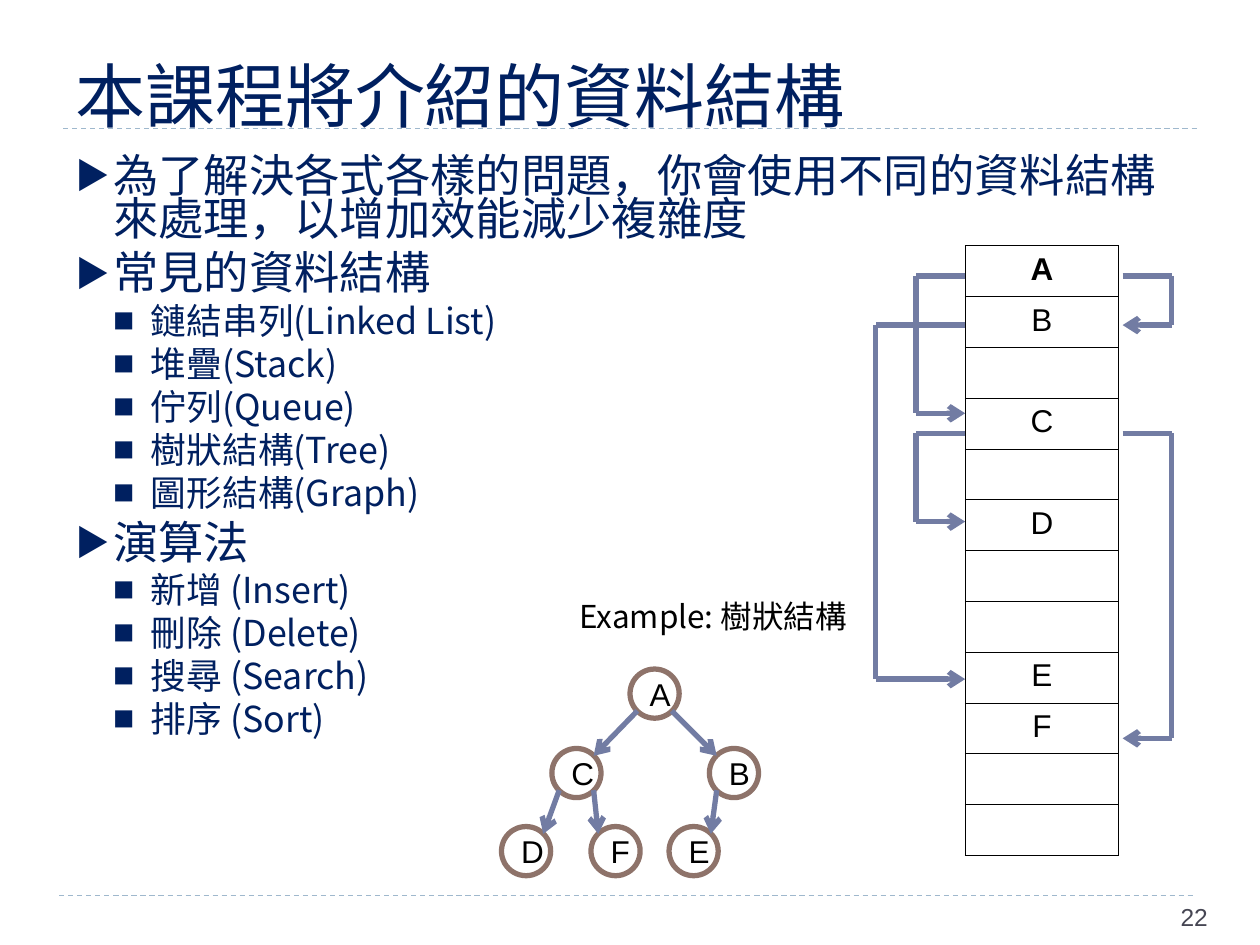
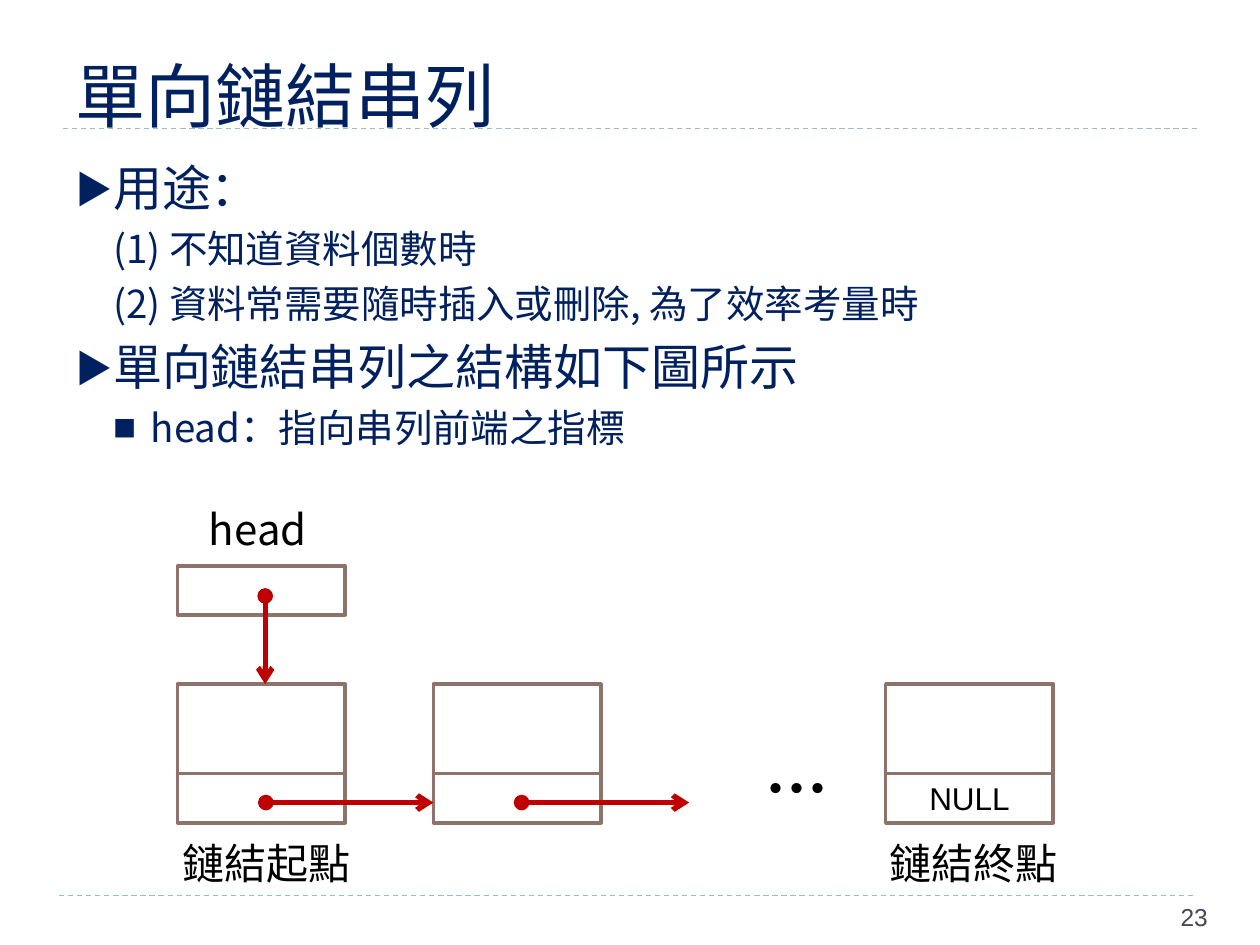
from pptx import Presentation
from pptx import util as u
from pptx.dml.color import RGBColor
from pptx.enum import dml, shapes, text
from pptx.oxml.ns import qn
from lxml import etree

# Grid: 100 columns by 75 rows on a 10 x 7.5 inch slide
COLUMNS, ROWS = 100, 75
WIDTH, HEIGHT = u.Inches(10), u.Inches(7.5)
NAVY, SKY, SLATE, BROWN = "002060", "9FB8CD", "727CA3", "8E736A"
RED, GRAY, BLACK, WHITE = "C00000", "464653", "000000", "FFFFFF"
ARIAL, SANS_JP, SANS_SC = "Arial", "Noto Sans CJK JP", "Noto Sans CJK SC"

# Outline styles: indent of the text, space before, bullet and its size
HANG = 0.3
TOPIC = dict(indent=0.3, before=6, bullet="▶", share=76)
ITEM = dict(indent=0.6, before=5, bullet="■", share=60)
PLAIN = dict(indent=0.6, before=5, bullet=None, share=100)


def color(value):
    return RGBColor.from_string(value)


def apply(target, values):
    for name, value in values.items():
        setattr(target, name, value)


def add_xml(parent, tag, **attributes):
    return etree.SubElement(parent, qn(tag), attributes)


class Deck:
    def __init__(self):
        self.show = Presentation()
        apply(self.show, dict(slide_width=WIDTH, slide_height=HEIGHT))
        self.slide = None

    def x(self, column):
        return round(WIDTH * column / COLUMNS)

    def y(self, row):
        return round(HEIGHT * row / ROWS)

    def box(self, left, top, width, height):
        return self.x(left), self.y(top), self.x(width), self.y(height)

    def new_slide(self, title, number, font):
        """Slide with its title, the two dashed rules and the page number."""
        self.slide = self.show.slides.add_slide(self.show.slide_layouts[6])
        for left, row in ((4.7, 71.1), (5, 10.2)):
            self.line((left, row), (left + 90, row), SKY, 0.75, dash=True)
        self.label(title, (5, 3.9, 90, 6.9), 40, font, NAVY, wrap=True,
                   frame=dict(vertical_anchor=text.MSO_ANCHOR.BOTTOM,
                              margin_top=0, margin_bottom=0))
        self.label(str(number), (92.2, 71.1, 7, 4), 14, ARIAL, GRAY, wrap=True,
                   frame=dict(margin_left=u.Inches(0.15)))

    def add_words(self, paragraph, words, size, font, ink=BLACK, bold=False):
        run = paragraph.add_run()
        run.text = words
        apply(run.font, dict(size=u.Pt(size), name=font, bold=bold))
        run.font.color.rgb = color(ink)
        east = SANS_JP if font == ARIAL else font
        add_xml(run.font._element, "a:ea", typeface=east)

    def label(self, words, place, size, font, ink=BLACK, bold=False,
              wrap=False, frame=None):
        body = self.slide.shapes.add_textbox(*self.box(*place)).text_frame
        apply(body, dict(word_wrap=wrap, **(frame or {})))
        self.add_words(body.paragraphs[0], words, size, font, ink, bold)

    def outline(self, entries, topic_size, item_size, spacing):
        """Body text; each entry is a style followed by (words, font) runs."""
        body = self.slide.shapes.add_textbox(*self.box(5, 12.5, 90, 54.8)).text_frame
        apply(body, dict(word_wrap=True, margin_top=0, margin_bottom=0))
        for index, (style, *runs) in enumerate(entries):
            paragraph = body.add_paragraph() if index else body.paragraphs[0]
            before = style["before"] if index else 0
            apply(paragraph, dict(line_spacing=spacing, space_before=u.Pt(before),
                                  level=0 if style is TOPIC else 1))
            self.bullet(paragraph, style)
            size = topic_size if style is TOPIC else item_size
            for words, font in runs:
                self.add_words(paragraph, words, size, font, NAVY)

    def bullet(self, paragraph, style):
        props = paragraph._p.get_or_add_pPr()
        props.set("marL", str(u.Inches(style["indent"])))
        props.set("indent", str(-u.Inches(HANG)))
        if style["bullet"] is None:
            add_xml(props, "a:buNone")
            return
        add_xml(add_xml(props, "a:buClr"), "a:srgbClr", val=NAVY)
        add_xml(props, "a:buSzPct", val=str(style["share"] * 1000))
        add_xml(props, "a:buFont", typeface=SANS_SC)
        add_xml(props, "a:buChar", char=style["bullet"])

    def line(self, start, end, ink, weight=3, dash=False, head=None, tail=None):
        link = self.slide.shapes.add_connector(
            shapes.MSO_CONNECTOR.STRAIGHT, self.x(start[0]), self.y(start[1]),
            self.x(end[0]), self.y(end[1]))
        link.line.width = u.Pt(weight)
        link.line.color.rgb = color(ink)
        if dash:
            link.line.dash_style = dml.MSO_LINE.DASH
        for tag, kind in (("a:headEnd", head), ("a:tailEnd", tail)):
            if kind:
                add_xml(link.line._get_or_add_ln(), tag, type=kind)
        add_xml(link._element.spPr, "a:effectLst")

    def route(self, points, ink):
        """Chain of straight lines that ends in an arrow."""
        last = len(points) - 2
        for index, (start, end) in enumerate(zip(points, points[1:])):
            self.line(start, end, ink, tail="arrow" if index == last else None)

    def node(self, kind, place, weight, words=""):
        shape = self.slide.shapes.add_shape(kind, *self.box(*place))
        shape.shadow.inherit = False
        shape.fill.solid()
        shape.fill.fore_color.rgb = color(WHITE)
        shape.line.color.rgb = color(BROWN)
        shape.line.width = u.Pt(weight)
        if words:
            body = shape.text_frame
            apply(body, dict(word_wrap=True, vertical_anchor=text.MSO_ANCHOR.MIDDLE))
            body.paragraphs[0].alignment = text.PP_ALIGN.CENTER
            self.add_words(body.paragraphs[0], words, 18, ARIAL)

    def column(self, values, place):
        """One-column table with thin black borders."""
        table = self.slide.shapes.add_table(len(values), 1, *self.box(*place)).table
        apply(table, dict(first_row=False, horz_banding=False))
        for index, value in enumerate(values):
            cell = table.cell(index, 0)
            props = cell._tc.get_or_add_tcPr()
            for side in ("a:lnL", "a:lnR", "a:lnT", "a:lnB"):
                border = add_xml(props, side, w=str(u.Pt(0.45)))
                add_xml(add_xml(border, "a:solidFill"), "a:srgbClr", val=BLACK)
            cell.fill.solid()
            cell.fill.fore_color.rgb = color(WHITE)
            paragraph = cell.text_frame.paragraphs[0]
            paragraph.alignment = text.PP_ALIGN.CENTER
            if value:
                self.add_words(paragraph, value, 18, ARIAL, bold=index == 0)


def structures_slide(deck):
    deck.new_slide("本課程將介紹的資料結構", 22, ARIAL)
    outline = [
        (TOPIC, ["為了解決各式各樣的問題，你會使用不同的資料結構來處理，以增加效能減少複雜度"]),
        (TOPIC, ["常見的資料結構"]),
        (ITEM, ["鏈結串列(Linked List)", "堆疊(Stack)", "佇列(Queue)",
                "樹狀結構(Tree)", "圖形結構(Graph)"]),
        (TOPIC, ["演算法"]),
        (ITEM, ["新增 (Insert)", "刪除 (Delete)", "搜尋 (Search)", "排序 (Sort)"]),
    ]
    deck.outline([(style, (words, SANS_SC)) for style, group in outline
                  for words in group], 25.9, 20.4, 0.8)

    # Memory cells and the pointers between them
    deck.column(["A", "B", "", "C", "", "D", "", "", "E", "F", "", ""],
                (76.6, 19.5, 12.2, 48.4))
    left_edge, right_edge = 76.6, 89.1
    pointers = [
        (left_edge, 72.7, 21.9, 32.8), (left_edge, 72.7, 34.4, 41.4),
        (right_edge, 93, 21.9, 25.8), (right_edge, 93, 34.4, 58.6),
        (left_edge, 69.5, 25.8, 53.9),
    ]
    for edge, lane, source, target in pointers:
        deck.route([(edge, source), (lane, source), (lane, target), (edge, target)],
                   SLATE)

    # Tree: edges join the circles at their diagonal points
    size = 3.9
    near, far = 0.15 * size, 0.85 * size
    tree = {"A": (50, 53.1), "B": (56.3, 59.4), "C": (43.8, 59.4),
            "D": (39.8, 65.6), "F": (46.9, 65.6), "E": (53.1, 65.6)}
    for name, (left, top) in tree.items():
        deck.node(shapes.MSO_SHAPE.OVAL, (left, top, size, size), 3, name)
    for parent, child in ("AC", "CD", "CF", "AB", "BE"):
        (px, py), (cx, cy) = tree[parent], tree[child]
        out, into = (near, far) if cx < px else (far, near)
        deck.route([(px + out, py + far), (cx + into, cy + near)], SLATE)
    deck.label("Example: 樹狀結構", (45, 46.9, 23.9, 4), 18, SANS_SC)


def linked_list_slide(deck):
    deck.new_slide("單向鏈結串列", 23, SANS_JP)
    deck.outline([
        (TOPIC, ("用途：", SANS_SC)),
        (PLAIN, ("(1) 不知道資料個數時", SANS_SC)),
        (PLAIN, ("(2) 資料常需要隨時插入或刪除, 為了效率考量時", SANS_SC)),
        (TOPIC, ("單向鏈結", SANS_SC), ("串列", SANS_JP), ("之結構如下圖所示", SANS_SC)),
        (ITEM, ("head：指向", SANS_SC), ("串列", SANS_JP), ("前端之指標", SANS_SC)),
    ], 28, 22, 1.0)

    # Captions
    deck.label("…", (59.8, 59, 6.3, 7), 36, SANS_JP, bold=True)
    for words, left in (("鏈結起點", 13.5), ("鏈結終點", 69.6)):
        deck.label(words, (left, 66, 15.3, 5), 24, SANS_JP)
    deck.label("head", (15.6, 39.5, 15.6, 5), 24, SANS_SC, wrap=True)

    # List nodes: a data field over a link field
    first, second, final = 14.1, 34.4, 70.3
    width, data_top, data_height, link_height = 13.3, 54.3, 7.1, 3.9
    link_top = data_top + data_height
    for left, words in ((first, ""), (second, ""), (final, "NULL")):
        for top, height, value in ((data_top, data_height, ""),
                                   (link_top, link_height, words)):
            deck.node(shapes.MSO_SHAPE.RECTANGLE, (left, top, width, height), 2, value)
    deck.node(shapes.MSO_SHAPE.RECTANGLE, (first, 44.9, width, link_height), 2)

    # Links
    middle = first + 6.95
    links = [((left + 7, 63.7), (left + 20.3, 63.7)) for left in (first, second)]
    for start, end in links + [((middle, 47.3), (middle, data_top))]:
        deck.line(start, end, RED, head="oval", tail="arrow")


def main():
    deck = Deck()
    structures_slide(deck)
    linked_list_slide(deck)
    deck.show.save("out.pptx")


if __name__ == "__main__":
    main()
